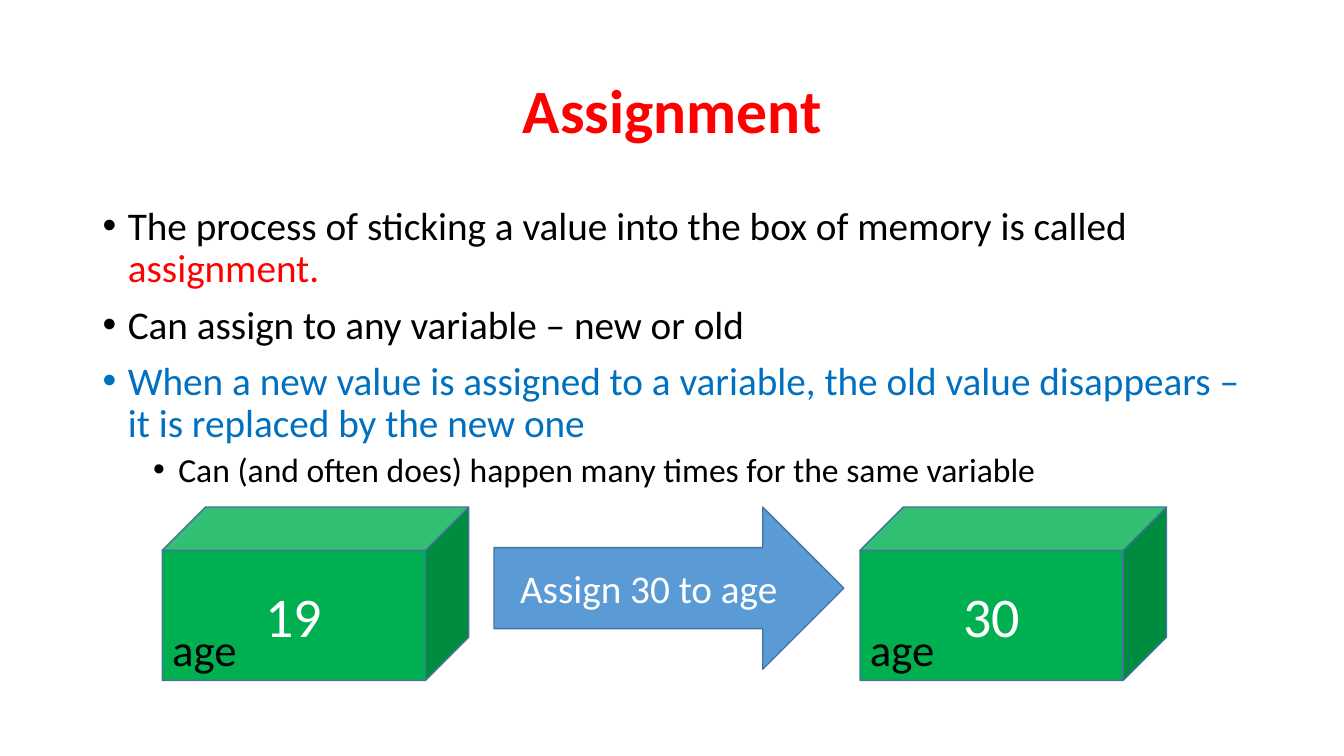
from dataclasses import dataclass

import pptx
import pptx.dml.color
import pptx.enum.shapes
import pptx.enum.text
import pptx.util
from lxml import etree
from pptx.oxml.ns import qn

Inches = pptx.util.Inches
Pt = pptx.util.Pt
SHAPES = pptx.enum.shapes.MSO_SHAPE
ALIGN = pptx.enum.text.PP_ALIGN
ANCHOR = pptx.enum.text.MSO_ANCHOR

FONT = "Calibri"
BLACK, WHITE, RED, BLUE = "000000", "FFFFFF", "FF0000", "0070C0"
GREEN, ARROW_BLUE, OUTLINE = "00B050", "5B9BD5", "43739E"
ROW_TOP = 5.03


@dataclass
class Point:
    text: str
    color: str = BLACK
    accent: str = ""
    level: int = 0
    size: int = 28
    space_before: int = 10


@dataclass
class MemoryBox:
    left: float
    value: str
    variable: str = "age"


POINTS = [
    Point("The process of sticking a value into the box of memory is called ",
          accent="assignment.", space_before=0),
    Point("Can assign to any variable – new or old"),
    Point("When a new value is assigned to a variable, the old value disappears – "
          "it is replaced by the new one", BLUE),
    Point("Can (and often does) happen many times for the same variable",
          level=1, size=24, space_before=5),
]
MEMORY_BOXES = [MemoryBox(1.61, "19"), MemoryBox(8.53, "30")]


def rgb(color: str) -> pptx.dml.color.RGBColor:
    return pptx.dml.color.RGBColor.from_string(color)


def format_run(run, size: int, color: str, bold: bool = False) -> None:
    run.font.name = FONT
    run.font.size = Pt(size)
    run.font.bold = bold
    run.font.color.rgb = rgb(color)


def add_text(shapes, left: float, top: float, width: float, height: float,
             wrap: bool = True):
    box = shapes.add_textbox(Inches(left), Inches(top), Inches(width), Inches(height))
    box.text_frame.word_wrap = wrap
    return box.text_frame


def add_title(shapes, text: str) -> None:
    frame = add_text(shapes, 0.92, 0.4, 11.5, 1.45)
    frame.vertical_anchor = ANCHOR.MIDDLE
    frame.text = text
    heading = frame.paragraphs[0]
    heading.alignment = ALIGN.CENTER
    heading.line_spacing = 0.9
    format_run(heading.runs[0], 44, RED, bold=True)


def add_bullet(paragraph, level: int) -> None:
    properties = paragraph._p.get_or_add_pPr()
    properties.set("marL", str(Inches(0.25 + 0.5 * level)))
    properties.set("indent", str(Inches(-0.25)))
    etree.SubElement(properties, qn("a:buFont")).set("typeface", "Arial")
    etree.SubElement(properties, qn("a:buChar")).set("char", "•")


def add_points(shapes, points: list[Point]) -> None:
    frame = add_text(shapes, 0.92, 2, 11.5, 4.76)
    for index, point in enumerate(points):
        paragraph = frame.add_paragraph() if index else frame.paragraphs[0]
        paragraph.text = point.text
        paragraph.level = point.level
        add_bullet(paragraph, point.level)
        paragraph.line_spacing = 0.9
        paragraph.space_before = Pt(point.space_before)
        format_run(paragraph.runs[0], point.size, point.color)
        if point.accent:
            accent = paragraph.add_run()
            accent.text = point.accent
            format_run(accent, point.size, RED)


def add_block(shapes, kind, left: float, width: float, height: float,
              fill: str, text: str, size: int) -> None:
    block = shapes.add_shape(kind, Inches(left), Inches(ROW_TOP),
                             Inches(width), Inches(height))
    block.shadow.inherit = False
    block.fill.solid()
    block.fill.fore_color.rgb = rgb(fill)
    block.line.color.rgb = rgb(OUTLINE)
    block.line.width = Pt(1)
    frame = block.text_frame
    frame.vertical_anchor = ANCHOR.MIDDLE
    frame.text = text
    frame.paragraphs[0].alignment = ALIGN.CENTER
    format_run(frame.paragraphs[0].runs[0], size, WHITE)


def add_memory_box(shapes, memory: MemoryBox) -> None:
    parts = shapes.add_group_shape().shapes
    add_block(parts, SHAPES.CUBE, memory.left, 3.04, 1.72, GREEN, memory.value, 40)
    label = add_text(parts, memory.left, 6.12, 0.85, 0.64, wrap=False)
    label.auto_size = pptx.enum.text.MSO_AUTO_SIZE.SHAPE_TO_FIT_TEXT
    label.text = memory.variable
    format_run(label.paragraphs[0].runs[0], 32, BLACK)


def main() -> None:
    deck = pptx.Presentation()
    deck.slide_width = Inches(13.33)
    deck.slide_height = Inches(7.5)
    shapes = deck.slides.add_slide(deck.slide_layouts[6]).shapes
    add_title(shapes, "Assignment")
    add_points(shapes, POINTS)
    for memory in MEMORY_BOXES:
        add_memory_box(shapes, memory)
    add_block(shapes, SHAPES.RIGHT_ARROW, 4.9, 3.47, 1.61, ARROW_BLUE,
              "Assign 30 to age", 28)
    deck.save("out.pptx")


if __name__ == "__main__":
    main()
